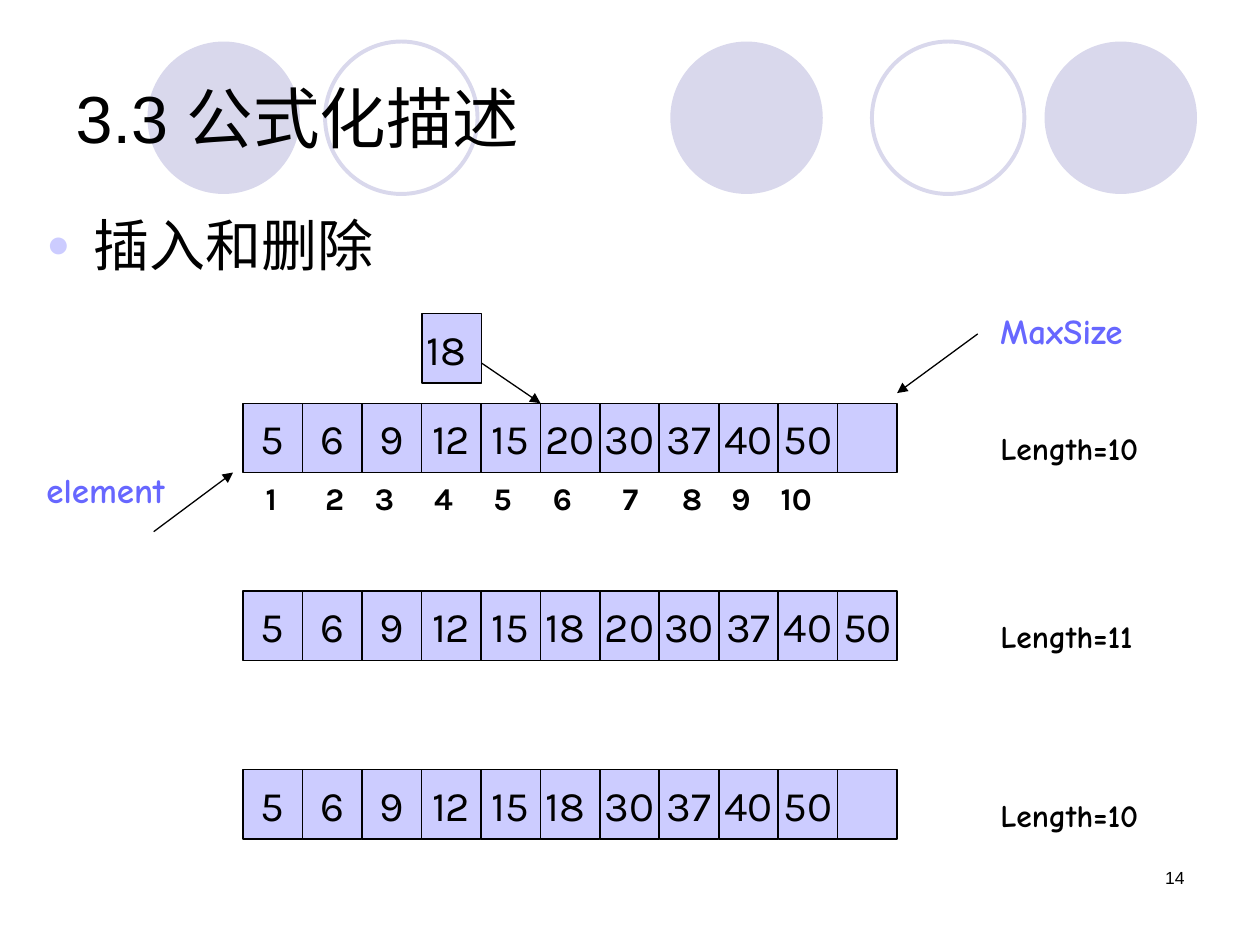
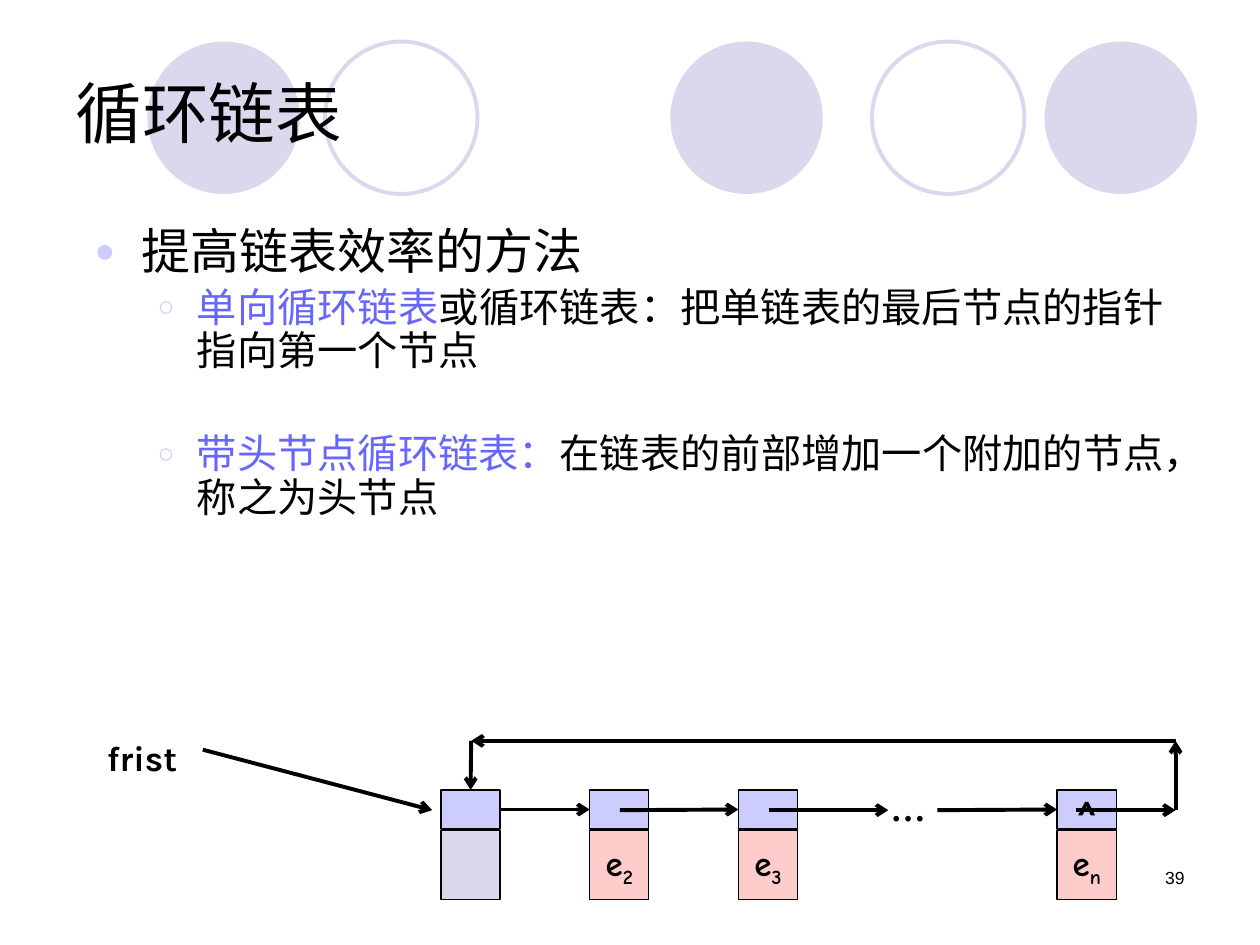
import pptx
import pptx.dml.color
import pptx.enum.shapes
import pptx.enum.text
import pptx.oxml
import pptx.oxml.ns
import pptx.util
from pptx.util import Inches

SHAPE = pptx.enum.shapes.MSO_SHAPE
ALIGN = pptx.enum.text.PP_ALIGN
ANCHOR = pptx.enum.text.MSO_ANCHOR
HUES = {"ink": "000000", "cell": "CCCCFF", "pale": "D9D8EC",
        "node": "FFCCCC", "key": "6767FF"}
NS = pptx.oxml.ns.nsdecls("a")


def hue(key):
    return pptx.dml.color.RGBColor.from_string(HUES[key])


def put(item, form):
    for name, value in form.items():
        setattr(item, name, value)


def place(item, area):
    put(item, dict(zip(("left", "top", "width", "height"), map(Inches, area))))


def xml(text):
    return pptx.oxml.parse_xml(text.replace("/>", f" {NS}/>", 1))


class Deck:
    """Shared style and the current slide."""

    def __init__(self):
        self.prs = pptx.Presentation()
        put(self.prs, {"slide_width": Inches(10), "slide_height": Inches(7.5)})
        self.layout = self.prs.slide_layouts[1]
        self.slide = None

    def page(self, title, number, ls=None):
        first = self.slide is None
        self.slide = self.prs.slides.add_slide(self.layout)
        if first:
            self.discs()
        head = self.slide.shapes.title
        place(head, (0.5, 0.3, 9, 1.25))
        self.letter(head, [(title, "ink")], 38, "Arial", bold=False,
                    anchor=ANCHOR.MIDDLE, ls=ls)
        self.label((7.17, 6.83, 2.33, 0.5), number, 10, "Arial",
                   bold=False, align=ALIGN.RIGHT)

    def discs(self):
        """Put the row of circles behind everything on the layout."""
        tree = self.layout.shapes.element
        row = [(1.17, True), (2.58, False), (5.32, True), (6.92, False), (8.29, True)]
        for rank, (left, solid) in enumerate(row):
            disc = self.shape(SHAPE.OVAL, (left, 0.33, 1.21, 1.21),
                              "pale" if solid else None, None if solid else "pale", 2.25)
            disc.element.nvSpPr.cNvPr.set("id", str(20 + rank))
            tree.insert(2 + rank, disc.element)

    def shape(self, kind, area, fill, line, width=0.75):
        item = self.slide.shapes.add_shape(kind, *map(Inches, area))
        item.shadow.inherit = False
        for part, key in ((item.fill, fill), (item.line.fill, line)):
            if key:
                part.solid()
                part.fore_color.rgb = hue(key)
            else:
                part.background()
        if line:
            item.line.width = pptx.util.Pt(width)
        return item

    def runs(self, par, parts, size, font, bold):
        for text, key in parts:
            run = par.add_run()
            run.text = text
            put(run.font, {"size": pptx.util.Pt(size), "name": font, "bold": bold})
            run.font.color.rgb = hue(key)

    def letter(self, item, parts, size, font, bold=True, align=ALIGN.LEFT,
               anchor=ANCHOR.TOP, wrap=True, ls=None):
        frame = item.text_frame
        put(frame, {"word_wrap": wrap, "vertical_anchor": anchor,
                    "auto_size": pptx.enum.text.MSO_AUTO_SIZE.NONE})
        par = frame.paragraphs[0]
        put(par, {"alignment": align, "line_spacing": ls})
        self.runs(par, parts, size, font, bold)

    def label(self, area, text, size, font, key="ink", **form):
        item = self.slide.shapes.add_textbox(*map(Inches, area))
        self.letter(item, [(text, key)], size, font, **form)

    def box(self, area, parts=(), fill="cell", size=24, font="Karla", bold=False):
        item = self.shape(SHAPE.RECTANGLE, area, fill, "ink")
        if parts:
            self.letter(item, [(part, "ink") for part in parts], size, font, bold,
                        ALIGN.CENTER, ANCHOR.MIDDLE, wrap=False)
        return item

    def points(self, area, rows, ls=None):
        """Rows are (level, size, space before, parts)."""
        body = self.slide.placeholders[1]
        place(body, area)
        frame = body.text_frame
        put(frame, {"auto_size": pptx.enum.text.MSO_AUTO_SIZE.NONE,
                    "vertical_anchor": ANCHOR.TOP})
        for rank, (level, size, gap, parts) in enumerate(rows):
            par = frame.add_paragraph() if rank else frame.paragraphs[0]
            put(par, {"level": level, "line_spacing": ls})
            if gap:
                par.space_before = pptx.util.Pt(gap)
            self.runs(par, parts, size, "Comic Neue", False)
            props = par._p.get_or_add_pPr()
            props.append(pptx.oxml.parse_xml(
                f'<a:buClr {NS}><a:srgbClr val="{HUES["cell"]}"/></a:buClr>'))
            props.append(xml('<a:buSzPct val="70000"/>'))
            props.append(xml('<a:buFont typeface="Arial"/>'))
            props.append(xml(f'<a:buChar char="{"●○"[level]}"/>'))

    def line(self, start, end, width, tip, begin=None, stop=None):
        """Draw an arrow; begin and stop are (shape, side) joins."""
        item = self.slide.shapes.add_connector(
            pptx.enum.shapes.MSO_CONNECTOR.STRAIGHT, *map(Inches, start + end))
        item.line.width = pptx.util.Pt(width)
        item.line.color.rgb = hue("ink")
        item.element.xpath(".//a:ln")[0].append(xml(f'<a:tailEnd type="{tip}"/>'))
        item.element.spPr.append(xml("<a:effectLst/>"))
        if begin:
            item.begin_connect(*begin)
        if stop:
            item.end_connect(*stop)


def insert(deck):
    """Array before and after an insertion, then after a deletion."""
    deck.page("3.3 公式化描述", "14")
    deck.points((0.27, 1.62, 9.45, 0.95), [(0, 32, None, [("插入和删除", "ink")])])
    left, step, wide, high = 1.93, 4.72 / 10, 0.47, 0.55

    # Arrays with their lengths
    arrays = [
        (3.2, ["5", "6", "9", "12", "15", "20", "30", "37", "40", "50", ""]),
        (4.69, ["5", "6", "9", "12", "15", "18 ", "20", "30", "37", "40", "50"]),
        (6.11, ["5", "6", "9", "12", "15", "18 ", "30", "37", "40", "50", ""]),
    ]
    for top, cells in arrays:
        for col, text in enumerate(cells):
            deck.box((left + col * step, top, wide, high), [text] if text else ())
        count = len([text for text in cells if text])
        deck.label((7.84, top + 0.16, 1.65, 0.4), f"Length={count}", 18, "Comic Neue")

    # Index numbers
    shift = {1: 0.08, 2: 0.08, 7: 0.08, 8: 0.08, 10: -0.08}
    for num in range(1, 11):
        spot = left + (num - 1) * step + shift.get(num, 0)
        deck.label((spot, 3.75, 0.39 if num < 10 else 0.63, 0.4), str(num), 18, "Karla")

    # New value, names and arrows
    deck.box((3.35, 2.49, wide, high), ["18 "])
    deck.label((7.84, 2.41, 1.34, 0.43), "MaxSize", 20, "Comic Neue", "key", wrap=False)
    deck.label((0.27, 3.67, 1.23, 0.43), "element", 20, "Comic Neue", "key", wrap=False)
    for start, end in [((3.82, 2.88), (4.29, 3.2)), ((7.76, 2.65), (7.12, 3.12)),
                       ((1.22, 4.22), (1.85, 3.75))]:
        deck.line(start, end, 0.75, "triangle")


def circle(deck):
    """Circular linked list with a head node."""
    deck.page("循环链表", "39", ls=0.9)
    deck.points((0.65, 1.75, 8.78, 3.62), [
        (0, 28, None, [("提高链表效率的方法", "ink")]),
        (1, 23, None, [("单向循环链表", "key"),
                       ("或循环链表：把单链表的最后节点的指针指向第一个节点", "ink")]),
        (1, 23, 34, [("带头节点循环链表：", "key"),
                     ("在链表的前部增加一个附加的节点，称之为头节点", "ink")]),
    ], ls=0.9)

    # Nodes: link cell above, data cell below
    links = []
    for left, sub in [(3.5, ""), (4.68, "2"), (5.86, "3"), (8.39, "n")]:
        links.append(deck.box((left, 6.27, 0.47, 0.31), ["^"] if sub == "n" else (),
                              size=20, bold=True))
        data = deck.box((left, 6.59, 0.47, 0.55), ["e", sub] if sub else (),
                        "node" if sub else "pale", 20, "Comic Neue", True)
        if sub:
            data.element.xpath(".//a:rPr")[-1].set("baseline", "-25000")
    head, two, three, last = links

    # Links from node to node, and the way back
    mid, high, right, back = 6.43, 5.88, 9.33, 3.74
    arrows = [
        ((1.61, 5.95), (3.43, mid), None, None),
        ((3.97, mid), (4.68, mid), (head, 3), (two, 1)),
        ((4.92, mid), (5.86, mid), None, (three, 1)),
        ((6.1, mid), (7.05, mid), None, None),
        ((7.44, mid), (8.39, mid), None, (last, 1)),
        ((8.54, mid), (right, mid), None, None),
        ((right, mid), (right, high), None, None),
        ((right, high), (back, high), None, None),
        ((back, high), (back, 6.27), None, (head, 0)),
    ]
    for start, end, begin, stop in arrows:
        deck.line(start, end, 2.25, "arrow", begin, stop)

    deck.label((6.97, 6.19, 0.55, 0.43), "…", 20, "Times New Roman")
    deck.label((0.75, 5.8, 0.87, 0.43), "frist", 20, "Karla")


def main():
    deck = Deck()
    insert(deck)
    circle(deck)
    deck.prs.save("out.pptx")


if __name__ == "__main__":
    main()
